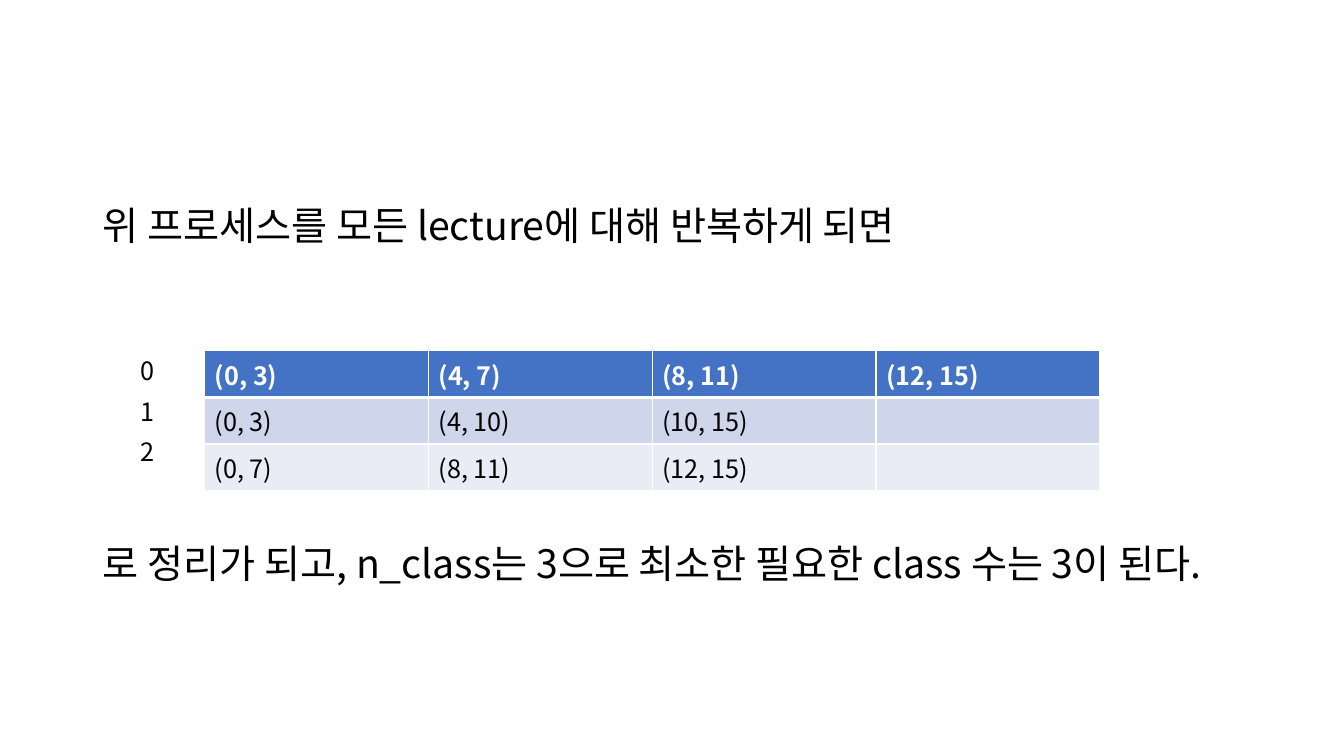
"""Build a slide that sums up lecture slots per class in a table."""
from dataclasses import dataclass

from lxml.etree import SubElement as Sub
from pptx import Presentation as Deck
from pptx.dml.color import RGBColor as Color
from pptx.oxml.ns import qn
from pptx.util import Inches, Pt

FACE = "Noto Sans CJK KR"
BLACK, WHITE = "000000", "FFFFFF"
LEFT, TOP, WIDE, HIGH = 2.03, 3.48, 2.22, 0.41
STEP = 0.4


@dataclass
class Label:
    text: str
    left: float
    top: float
    width: float
    height: float
    size: int
    wrap: bool = True
    space: float = 1.0


@dataclass
class Row:
    slots: tuple[str, ...]
    fill: str
    ink: str = BLACK
    bold: bool = False
    above: int = 1
    below: int = 1


LABELS = [
    Label("위 프로세스를 모든 lecture에 대해 반복하게 되면", 0.92, 2, 12.18, 0.6, 28, space=0.9),
    Label("로 정리가 되고, n_class는 3으로 최소한 필요한 class 수는 3이 된다.",
          0.92, 5.35, 12.18, 0.6, 28, space=0.9),
    *(Label(str(n), 1.3, TOP + n * STEP, 0.34, STEP, 18, False) for n in range(3)),
]
ROWS = [
    Row(("(0, 3)", "(4, 7)", "(8, 11)", "(12, 15)"), "4472C4", WHITE, True, below=3),
    Row(("(0, 3)", "(4, 10)", "(10, 15)", ""), "CFD5EA", above=3),
    Row(("(0, 7)", "(8, 11)", "(12, 15)", ""), "E9EBF5"),
]


def tint(code: str) -> Color:
    """Turn a hex string into a colour."""
    return Color.from_string(code)


def write(part, text: str, size: int, ink: str = BLACK, bold: bool = False) -> None:
    """Put one formatted run into a paragraph."""
    run = part.add_run()
    run.text = text
    form = {"name": FACE, "size": Pt(size), "bold": bold}
    for key, value in form.items():
        setattr(run.font, key, value)
    run.font.color.rgb = tint(ink)
    Sub(run.font._element, qn("a:ea"), typeface=FACE)


def draw_label(slide, label: Label) -> None:
    """Draw one line of text in its own box."""
    place = (label.left, label.top, label.width, label.height)
    frame = slide.shapes.add_textbox(*map(Inches, place)).text_frame
    frame.word_wrap = label.wrap
    part = frame.paragraphs[0]
    part.line_spacing = label.space
    write(part, label.text, label.size)


def edge(cell, row: Row) -> None:
    """Give a cell white borders."""
    props = cell._tc.get_or_add_tcPr()
    sides = {"a:lnL": 1, "a:lnR": 1, "a:lnT": row.above, "a:lnB": row.below}
    for spot, (side, width) in enumerate(sides.items()):
        line = props.makeelement(qn(side), {"w": str(Pt(width))})
        Sub(Sub(line, qn("a:solidFill")), qn("a:srgbClr"), val=WHITE)
        props.insert(spot, line)


def draw_table(slide, rows: list[Row]) -> None:
    """Draw the table of slots, one row per class."""
    count = len(rows[0].slots)
    place = (LEFT, TOP, WIDE * count, HIGH * len(rows))
    table = slide.shapes.add_table(len(rows), count, *map(Inches, place)).table
    for y, row in enumerate(rows):
        for x, slot in enumerate(row.slots):
            cell = table.cell(y, x)
            cell.fill.solid()
            cell.fill.fore_color.rgb = tint(row.fill)
            edge(cell, row)
            if slot:
                write(cell.text_frame.paragraphs[0], slot, 18, row.ink, row.bold)


def main() -> None:
    """Make the deck and save it."""
    deck = Deck()
    form = {"slide_width": Inches(13.33), "slide_height": Inches(7.5)}
    for key, value in form.items():
        setattr(deck, key, value)
    slide = deck.slides.add_slide(deck.slide_layouts[6])
    draw_table(slide, ROWS)
    for label in LABELS:
        draw_label(slide, label)
    deck.save("out.pptx")


if __name__ == "__main__":
    main()
